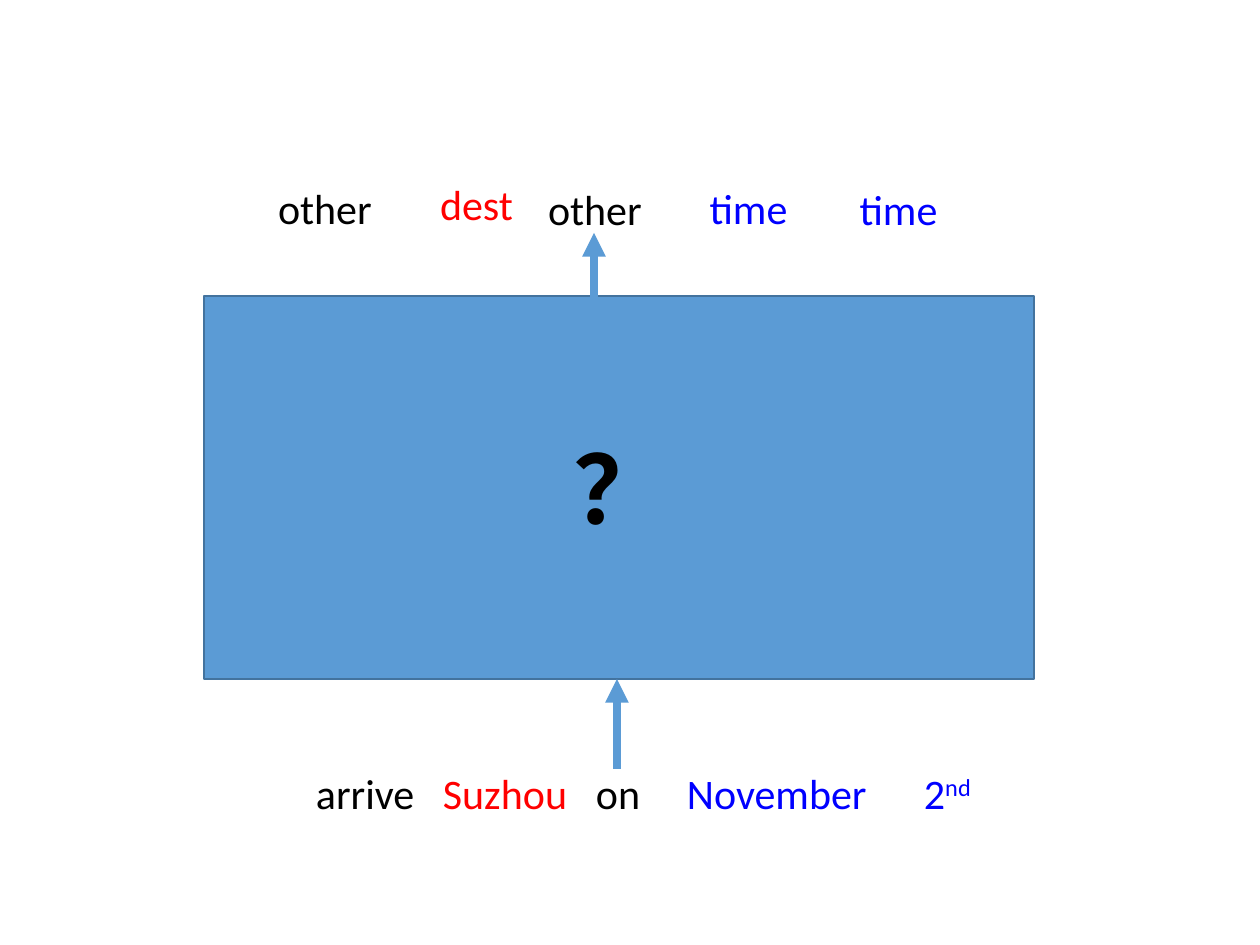
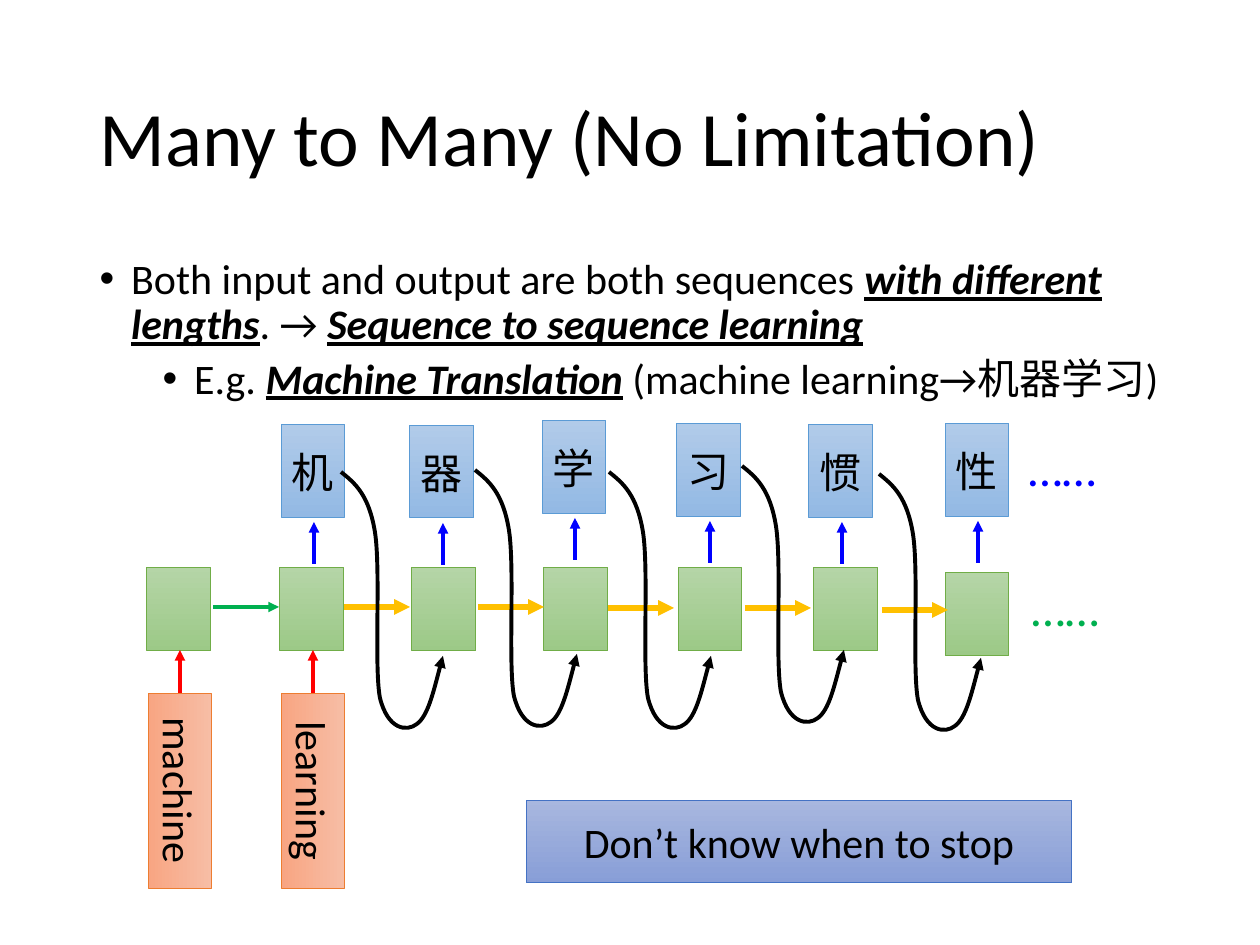
from pptx import Presentation, util as u
from pptx.dml.color import RGBColor
from pptx.enum import shapes, text
from pptx.oxml import parse_xml
from pptx.oxml.ns import nsdecls, qn

BLACK = RGBColor(0, 0, 0)
RED = RGBColor(0xFF, 0, 0)
BLUE = RGBColor(0, 0, 0xFF)
GREEN = RGBColor(0, 0xB0, 0x50)
GOLD = RGBColor(0xFF, 0xC0, 0)
SKY = RGBColor(0x5B, 0x9B, 0xD5)
SKY_EDGE = RGBColor(0x43, 0x73, 0x9E)
# Each gradient: first colour, last colour, outline
CELL = RGBColor(0xB5, 0xD5, 0xA7), RGBColor(0x9C, 0xC9, 0x87), RGBColor(0x70, 0xAD, 0x47)
OUTPUT = RGBColor(0xB1, 0xCB, 0xE9), RGBColor(0x93, 0xB9, 0xE4), SKY
INPUT = RGBColor(0xF7, 0xBD, 0xA5), RGBColor(0xF8, 0xA5, 0x82), RGBColor(0xED, 0x7D, 0x31)
NOTE = RGBColor(0xA8, 0xB7, 0xDF), RGBColor(0x88, 0x9E, 0xD7), RGBColor(0x44, 0x72, 0xC4)

FONT = "Calibri"
CENTER = text.PP_ALIGN.CENTER
MIDDLE = text.MSO_ANCHOR.MIDDLE
TOP = text.MSO_ANCHOR.TOP
CELL_W, CELL_H, OUTPUT_H = 64, 84, 93

# Feedback curve, relative to its start: control, control, end
FEEDBACK = [
    ((14, 11), (28, 23), (34, 60)),
    ((40, 98), (33, 194), (39, 226)),
    ((47, 258), (66, 260), (76, 252)),
    ((87, 244), (94, 214), (102, 184)),
]


def px(n):
    return u.Emu(round(n * 914400 / 126))


def add_run(paragraph, words, size=24, color=BLACK, bold=None, strong=False, raised=False):
    """Add a run; strong means bold, italic and underlined."""
    run = paragraph.add_run()
    run.text = words
    font = run.font
    font.name, font.size, font.color.rgb = FONT, u.Pt(size), color
    font.bold = True if strong else bold
    if strong:
        font.italic = font.underline = True
    if raised:
        run._r.get_or_add_rPr().set("baseline", "30000")


def add_label(slide, box, words, align=None, **style):
    frame = slide.shapes.add_textbox(*map(px, box)).text_frame
    frame.word_wrap = True
    frame.paragraphs[0].alignment = align
    add_run(frame.paragraphs[0], words, **style)


def add_box(slide, box, gradient=None, words="", anchor=MIDDLE):
    shape = slide.shapes.add_shape(shapes.MSO_SHAPE.RECTANGLE, *map(px, box))
    shape.shadow.inherit = False
    if gradient:
        first, last, edge = gradient
        shape.fill.gradient()
        shape.fill.gradient_angle = 270
        for stop, color in zip(shape.fill.gradient_stops, (first, last)):
            stop.color.rgb = color
        shape.line.color.rgb, shape.line.width = edge, u.Pt(0.5)
    else:
        shape.fill.solid()
        shape.fill.fore_color.rgb = SKY
        shape.line.color.rgb, shape.line.width = SKY_EDGE, u.Pt(1)
    if words:
        frame = shape.text_frame
        frame.vertical_anchor = anchor
        frame.paragraphs[0].alignment = CENTER
        add_run(frame.paragraphs[0], words)
    return shape


def point_line(shape, color, width):
    """Format a line and give its end an arrowhead."""
    shape.line.color.rgb, shape.line.width = color, u.Pt(width)
    line = shape._element.spPr.find(qn("a:ln"))
    line.append(parse_xml(f'<a:tailEnd {nsdecls("a")} type="triangle"/>'))


def add_arrow(slide, start, end, color, width=2, begin=None, finish=None):
    """Draw an arrow; begin and finish are (shape, side) pairs to join."""
    arrow = slide.shapes.add_connector(
        shapes.MSO_CONNECTOR.STRAIGHT, *map(px, (*start, *end)))
    if begin:
        arrow.begin_connect(*begin)
    if finish:
        arrow.end_connect(*finish)
    # Joining snaps to the side; keep the arrow exactly straight
    arrow.begin_x, arrow.begin_y = map(px, start)
    arrow.end_x, arrow.end_y = map(px, end)
    point_line(arrow, color, width)
    arrow._element.spPr.append(parse_xml(f'<a:effectLst {nsdecls("a")}/>'))


def add_feedback(slide, left, top):
    """Draw the outline through the ends, then bend each segment."""
    outline = slide.shapes.build_freeform(px(left), px(top), scale=1.0)
    outline.add_line_segments(
        [(px(left + x), px(top + y)) for *_, (x, y) in FEEDBACK], close=False)
    curve = outline.convert_to_shape()
    segments = list(curve._element.iter(qn("a:lnTo")))
    for segment, points in zip(segments, FEEDBACK):
        marks = "".join(f'<a:pt x="{px(x)}" y="{px(y)}"/>' for x, y in points)
        segment.getparent().replace(segment, parse_xml(
            f'<a:cubicBezTo {nsdecls("a")}>{marks}</a:cubicBezTo>'))
    curve.shadow.inherit = False
    curve.fill.background()
    point_line(curve, BLACK, 2.25)


def add_sentence(slide, left, top, width, height):
    """Place the input words on tab stops."""
    frame = slide.shapes.add_textbox(*map(px, (left, top, width, height))).text_frame
    frame.word_wrap = True
    frame.margin_left = px(75)
    sentence = frame.paragraphs[0]
    stops = "".join(f'<a:tab pos="{px(x)}" algn="l"/>' for x in (127, 280, 371, 608))
    sentence._p.get_or_add_pPr().append(
        parse_xml(f'<a:tabLst {nsdecls("a")}>{stops}</a:tabLst>'))
    for words, color in (("arrive\t", BLACK), ("Suzhou\t", RED), ("on\t", BLACK),
                         ("November\t2", BLUE)):
        add_run(sentence, words, color=color)
    add_run(sentence, "nd", color=BLUE, raised=True)


def build_slot_slide(deck):
    slide = deck.slides.add_slide(deck.slide_layouts[6])
    model = add_box(slide, (204, 296, 830, 383))
    add_arrow(slide, (617, 769), (617, 679), SKY, 4.5, finish=(model, 2))
    add_sentence(slide, 241, 761, 779, 63)
    for slot, left, top, width, color in (
            ("other", 261, 176, 128, BLACK), ("other", 531, 177, 128, BLACK),
            ("dest", 417, 172, 119, RED), ("time", 683, 176, 131, BLUE),
            ("time", 833, 177, 131, BLUE)):
        add_label(slide, (left, top, width, 63), slot, CENTER, color=color)
    add_arrow(slide, (594, 323), (594, 233), SKY, 4.5)
    add_label(slide, (561, 424, 507, 127), "？", size=54, bold=True)


def place(holder, *box):
    holder.left, holder.top, holder.width, holder.height = map(px, box)
    holder.text_frame.auto_size = text.MSO_AUTO_SIZE.NONE


def fill_title(title, words):
    place(title, 87, 50, 1086, 183)
    title.text_frame.vertical_anchor = MIDDLE
    heading = title.text_frame.paragraphs[0]
    heading.alignment, heading.line_spacing = text.PP_ALIGN.LEFT, 0.9
    add_run(heading, words, size=44)


def fill_body(body, items):
    place(body, 87, 252, 1086, 600)
    for level, runs in enumerate(items):
        frame = body.text_frame
        item = frame.add_paragraph() if level else frame.paragraphs[0]
        item.level, item.line_spacing = level, 0.9
        item.space_before = u.Pt(5 if level else 0)
        props = item._p.get_or_add_pPr()
        props.set("marL", str(u.Inches(0.25 + 0.5 * level)))
        props.set("indent", str(u.Inches(-0.25)))
        props.append(parse_xml(f'<a:buFont {nsdecls("a")} typeface="Arial"/>'))
        props.append(parse_xml(f'<a:buChar {nsdecls("a")} char="•"/>'))
        for words, strong in runs:
            add_run(item, words, strong=strong)


def add_output(slide, left, top, character):
    add_box(slide, (left, top, CELL_W, OUTPUT_H), OUTPUT)
    add_label(slide, (left - 12, top + 16, 87, 63), character, CENTER)
    add_arrow(slide, (left + 33, top + 140), (left + 33, top + 98), BLUE)


def add_input(slide, left, top, word, cell):
    """Add a word turned to read downwards, feeding the cell above it."""
    middle = left + CELL_W // 2
    source = add_box(slide, (middle - 97, top + 66, 195, 63), INPUT, word, TOP)
    source.rotation = 90
    add_arrow(slide, (middle + 1, top), (middle + 1, top - 43), RED,
              begin=(source, 1), finish=(cell, 2))


def add_network(slide, left, top):
    """Draw the chain of cells with its inputs, outputs and feedback."""
    cell_spots = [(0, 0), (133, 0), (265, 0), (397, 0), (531, 0), (667, 0), (798, 5)]
    cells = [add_box(slide, (left + dx, top + dy, CELL_W, CELL_H), CELL)
             for dx, dy in cell_spots]
    for word, cell, (dx, _) in zip(("machine", "learning"), cells, cell_spots):
        add_input(slide, left + dx, top + 126, word, cell)
    links = [(66, 40), (197, 40), (331, 40), (461, 41), (598, 41), (735, 43)]
    for i, (dx, dy) in enumerate(links):
        x, y = left + dx, top + dy
        add_arrow(slide, (x, y), (x + 66, y), GOLD if i else GREEN, 3 if i else 2,
                  begin=(cells[i], 3), finish=(cells[i + 1], 1))
    for character, dx, dy in (("机", 134, -143), ("器", 263, -142), ("学", 395, -147),
                              ("习", 530, -144), ("惯", 662, -143), ("性", 798, -144)):
        add_output(slide, left + dx, top + dy, character)
    for dx, dy in ((194, -95), (328, -97), (462, -95), (595, -101), (732, -93)):
        add_feedback(slide, left + dx, top + dy)
    for dx, dy, color in ((872, 4, GREEN), (869, -136, BLUE)):
        add_label(slide, (left + dx, top + dy, 152, 72), "……", size=28, color=color)


def build_sequence_slide(deck):
    slide = deck.slides.add_slide(deck.slide_layouts[1])
    title, body = slide.placeholders
    fill_title(title, "Many to Many (No Limitation)")
    fill_body(body, [
        [("Both input and output are both sequences ", False),
         ("with different lengths", True), (". → ", False),
         ("Sequence to sequence learning", True)],
        [("E.g. ", False), ("Machine Translation", True),
         (" (machine learning→机器学习)", False)],
    ])
    add_network(slide, 147, 567)
    add_box(slide, (526, 800, 546, 83), NOTE, "Don’t know when to stop")


def main():
    deck = Presentation()
    deck.slide_width, deck.slide_height = px(1260), px(945)
    build_slot_slide(deck)
    build_sequence_slide(deck)
    deck.save("out.pptx")


if __name__ == "__main__":
    main()
